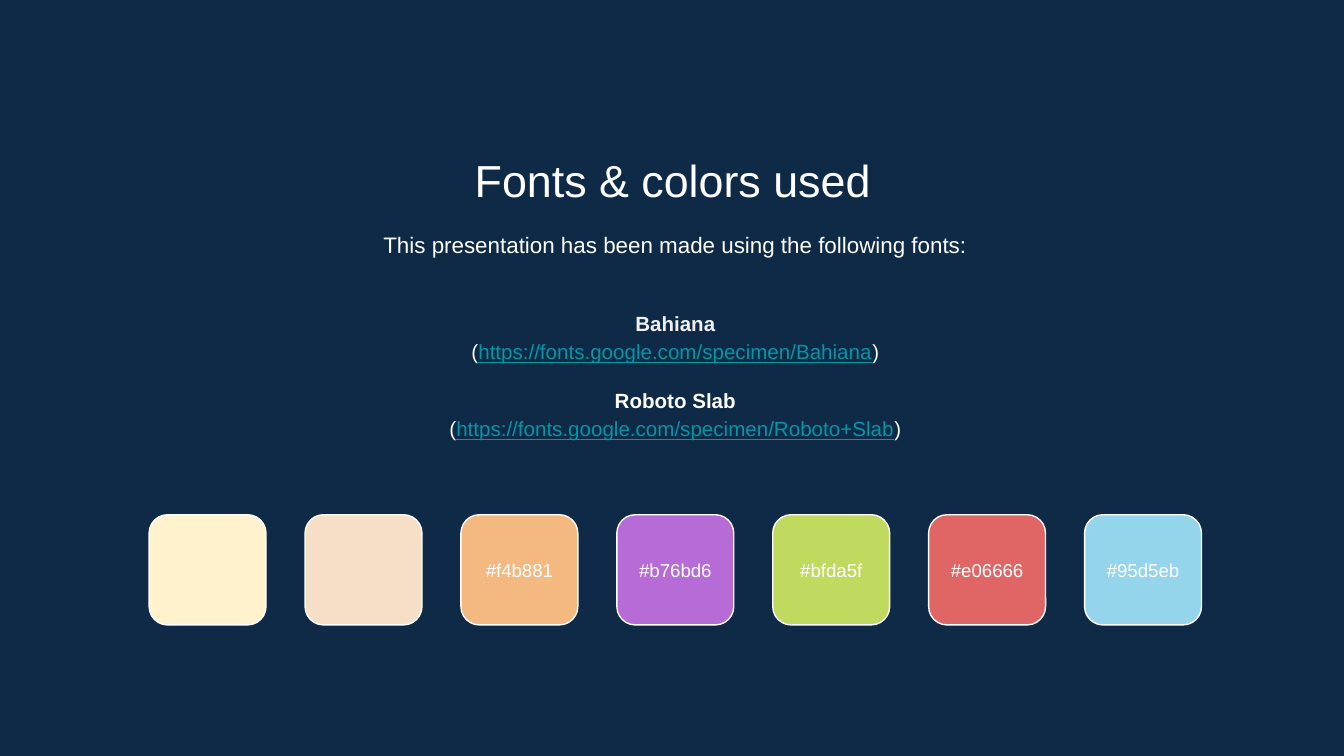
from pptx import Presentation
from pptx.dml.color import RGBColor
from pptx.enum.shapes import MSO_SHAPE
from pptx.enum.text import MSO_ANCHOR, PP_ALIGN
from pptx.util import Inches, Pt

NAVY = RGBColor(0x0E, 0x2A, 0x47)
WHITE = RGBColor(0xFF, 0xFF, 0xFF)
PALE = RGBColor(0xEF, 0xEF, 0xEF)
TEAL = RGBColor(0x00, 0x97, 0xA7)

FONT = "Arial"
SITE = "https://fonts.google.com/specimen/"
FACES = [("Bahiana", "Bahiana", PALE), ("Roboto Slab", "Roboto+Slab", WHITE)]
LIGHT = ["fff2cc", "f7dec7"]  # too light for a white label
CODES = LIGHT + ["f4b881", "b76bd6", "bfda5f", "e06666", "95d5eb"]


def add_run(line, text, size=11, color=WHITE, bold=False, under=False):
    run = line.add_run()
    run.text = text
    font = run.font
    font.name, font.size, font.bold = FONT, Pt(size), bold
    font.underline = under
    font.color.rgb = color


class Deck:
    def __init__(self, wide):
        self.show = Presentation()
        self.show.slide_width = Inches(wide)
        self.show.slide_height = Inches(wide * 9 / 16)
        self.slide = self.show.slides.add_slide(self.show.slide_layouts[6])
        fill = self.slide.background.fill
        fill.solid()
        fill.fore_color.rgb = NAVY

    def frame(self, place, anchor=MSO_ANCHOR.TOP):
        box = self.slide.shapes.add_textbox(*map(Inches, place)).text_frame
        box.word_wrap = True
        box.vertical_anchor = anchor
        box.margin_left = box.margin_right = Inches(0.1)
        box.margin_top = box.margin_bottom = Inches(0.1)
        return box

    def line(self, box, runs, space=1.0, gap=0):
        first = box.paragraphs[0]
        line = box.add_paragraph() if first.runs else first
        line.alignment = PP_ALIGN.CENTER
        line.line_spacing = space
        if gap:
            line.space_before = Pt(gap)
        for text, style in runs:
            add_run(line, text, **style)

    def swatch(self, left, top, wide, high, code):
        tile = self.slide.shapes.add_shape(
            MSO_SHAPE.ROUNDED_RECTANGLE, *map(Inches, (left, top, wide, high)))
        tile.shadow.inherit = False
        tile.fill.solid()
        tile.fill.fore_color.rgb = RGBColor.from_string(code.upper())
        tile.line.color.rgb = WHITE
        tile.line.width = Pt(0.75)

    def label(self, left, top, wide, high, code):
        box = self.frame((left, top, wide, high), MSO_ANCHOR.MIDDLE)
        self.line(box, [("#" + code, {"size": 10})])


def main():
    deck = Deck(10)

    # Title and intro
    title = deck.frame((1.15, 1.04, 7.71, 0.53))
    deck.line(title, [("Fonts & colors used", {"size": 24})])
    intro = deck.frame((1.17, 1.59, 7.71, 0.48))
    deck.line(intro, [("This presentation has been made using the following fonts:",
                       {"size": 12})], space=1.15)

    # Font names with their web pages
    fonts = deck.frame((1.17, 2.1, 7.71, 1.37), MSO_ANCHOR.MIDDLE)
    for i, (name, page, color) in enumerate(FACES):
        deck.line(fonts, [(name, {"bold": True, "color": color})],
                  space=1.15, gap=11 * i)
        deck.line(fonts, [("(", {}), (SITE + page, {"color": TEAL, "under": True}),
                          (")", {})], space=1.15)

    # Row of color swatches
    for i, code in enumerate(CODES):
        left = 1.11 + 1.16 * i
        deck.swatch(left, 3.83, 0.87, 0.82, code)
        if code not in LIGHT:
            deck.label(left, 4, 0.87, 0.48, code)

    deck.show.save("out.pptx")


if __name__ == "__main__":
    main()
